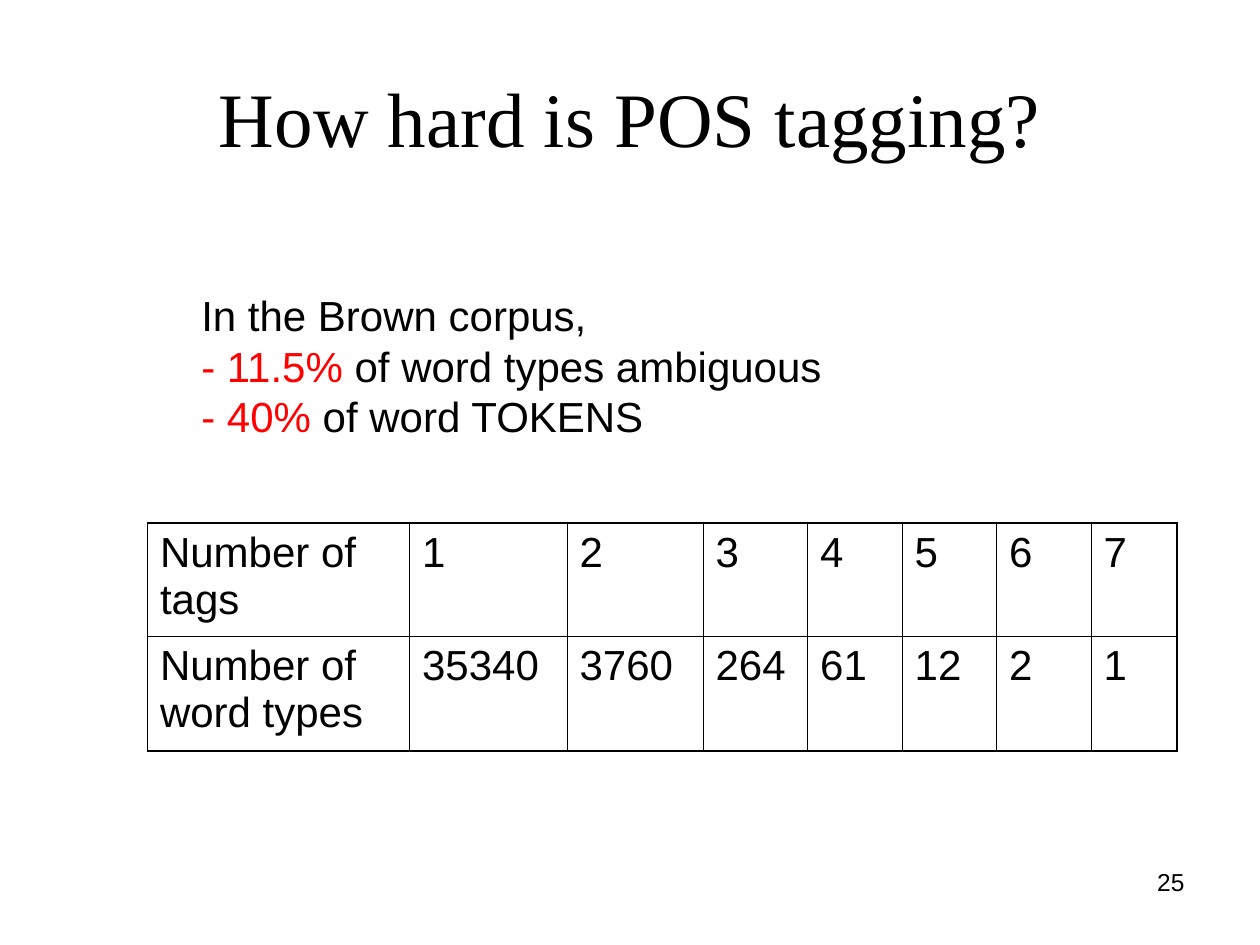
from lxml.etree import SubElement
from pptx import Presentation
from pptx.dml.color import RGBColor
from pptx.enum.text import MSO_ANCHOR, MSO_AUTO_SIZE, PP_ALIGN
from pptx.oxml.ns import qn
from pptx.util import Inches, Pt

BLACK, RED, WHITE = "000000", "FF0000", "FFFFFF"
THICK, THIN = 1.08, 0.45
COLS = [2.08, 1.25, 1.08, 0.83, 0.75, 0.75, 0.75, 0.68]
ROWS = [0.9, 0.91]
DATA = [
    ["Number of tags", "1", "2", "3", "4", "5", "6", "7"],
    ["Number of word types", "35340", "3760", "264", "61", "12", "2", "1"],
]
NOTES = [
    [("In the Brown corpus,", BLACK)],
    [("- 11.5% ", RED), ("of word types ambiguous", BLACK)],
    [("- 40% ", RED), ("of word TOKENS", BLACK)],
]


def tint(part, color):
    part.rgb = RGBColor.from_string(color)


def apply(part, style):
    for name, value in style.items():
        setattr(part, name, value)


def write(para, text, size, color=BLACK, face="Arial"):
    run = para.add_run()
    run.text = text
    apply(run.font, {"name": face, "size": Pt(size)})
    tint(run.font.color, color)


def place(shape, box):
    names = ("left", "top", "width", "height")
    apply(shape, dict(zip(names, map(Inches, box))))


def add_title(slide, box):
    title = slide.shapes.title
    place(title, box)
    frame = title.text_frame
    apply(frame, {"vertical_anchor": MSO_ANCHOR.MIDDLE, "word_wrap": True})
    para = frame.paragraphs[0]
    para.alignment = PP_ALIGN.CENTER
    write(para, "How hard is POS tagging?", 44, face="Times New Roman")


def add_text(slide, box, lines, size, style, fit=MSO_AUTO_SIZE.NONE):
    frame = slide.shapes.add_textbox(*map(Inches, box)).text_frame
    apply(frame, {"word_wrap": True, "auto_size": fit})
    para = frame.paragraphs[0]
    apply(para, style)
    for index, line in enumerate(lines):
        if index:
            para.add_line_break()
        for text, color in line:
            write(para, text, size, color)


def add_edge(cell, side, width):
    line = SubElement(cell._tc.get_or_add_tcPr(), qn(f"a:ln{side}"), w=str(Pt(width)))
    fill = SubElement(line, qn("a:solidFill"))
    SubElement(fill, qn("a:srgbClr"), val=BLACK)


def add_grid(slide, box):
    table = slide.shapes.add_table(len(ROWS), len(COLS), *map(Inches, box)).table
    apply(table, {"first_row": False, "horz_banding": False})
    for col, width in zip(table.columns, COLS):
        col.width = Inches(width)
    for row, height in zip(table.rows, ROWS):
        row.height = Inches(height)
    for r, texts in enumerate(DATA):
        for c, text in enumerate(texts):
            cell = table.cell(r, c)
            outer = {
                "L": c == 0,
                "R": c == len(COLS) - 1,
                "T": r == 0,
                "B": r == len(ROWS) - 1,
            }
            for side, edge in outer.items():
                add_edge(cell, side, THICK if edge else THIN)
            cell.fill.solid()
            tint(cell.fill.fore_color, WHITE)
            para = cell.text_frame.paragraphs[0]
            para.space_before = Pt(6)
            write(para, text, 24)


deck = Presentation()
apply(deck, {"slide_width": Inches(10), "slide_height": Inches(7.5)})
slide = deck.slides.add_slide(deck.slide_layouts[5])
add_text(slide, (7.17, 6.83, 2.33, 0.52), [[("25", BLACK)]], 14,
         {"alignment": PP_ALIGN.RIGHT})
add_title(slide, (0.5, 0.3, 9, 1.25))
add_grid(slide, (1.17, 4.15, sum(COLS), sum(ROWS)))
add_text(slide, (1.5, 2.25, 5.17, 1.3), NOTES, 24,
         {"space_before": Pt(15), "line_spacing": Pt(28.8)},
         MSO_AUTO_SIZE.SHAPE_TO_FIT_TEXT)
deck.save("out.pptx")
